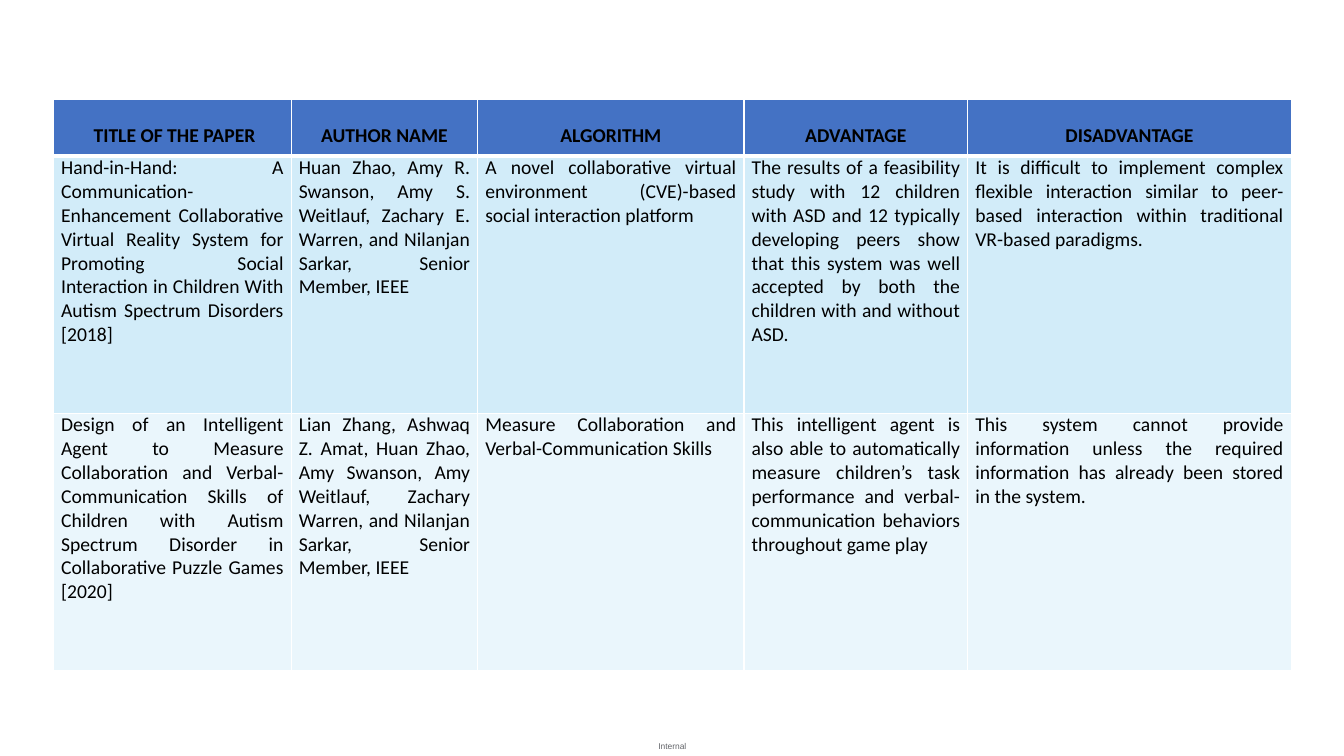
from dataclasses import dataclass

import pptx
import pptx.dml.color
import pptx.enum.text
import pptx.oxml
import pptx.oxml.ns
import pptx.util
from pptx.util import Cm

ALIGN = pptx.enum.text.PP_ALIGN


@dataclass(frozen=True)
class Theme:
    font: str = "Calibri"
    footer_font: str = "Arial"
    table_size: float = 14
    footer_size: float = 6
    ink: str = "000000"
    footer_ink: str = "626469"
    border: str = "FFFFFF"
    thin: float = 1
    thick: float = 3


@dataclass(frozen=True)
class RowStyle:
    height: float
    fill: str
    align: ALIGN
    bold: bool
    line_spacing: float
    top: float
    bottom: float


@dataclass(frozen=True)
class TableRow:
    style: RowStyle
    texts: tuple[str, ...]


THEME = Theme()
HEADER = RowStyle(1.42, "4472C4", ALIGN.CENTER, True, 2.0, THEME.thin, THEME.thick)
FIRST_PAPER = RowStyle(6.48, "D2ECF9", ALIGN.JUSTIFY, False, 1.0, THEME.thick, THEME.thin)
SECOND_PAPER = RowStyle(6.48, "EAF6FC", ALIGN.JUSTIFY, False, 1.0, THEME.thin, THEME.thin)

COLUMN_WIDTHS = (5.99, 4.7, 6.71, 5.64, 8.15)
ROWS = (
    TableRow(HEADER, (
        " TITLE OF THE PAPER", "AUTHOR NAME", "ALGORITHM", "ADVANTAGE", "DISADVANTAGE",
    )),
    TableRow(FIRST_PAPER, (
        "Hand-in-Hand: A Communication-Enhancement Collaborative Virtual Reality System "
        "for Promoting Social Interaction in Children With Autism Spectrum Disorders [2018]",
        "Huan Zhao, Amy R. Swanson, Amy S. Weitlauf, Zachary E. Warren, and Nilanjan Sarkar, "
        "Senior Member, IEEE",
        "A novel collaborative virtual environment (CVE)-based social interaction platform",
        "The results of a feasibility study with 12 children with ASD and 12 typically "
        "developing peers show that this system was well accepted by both the children "
        "with and without ASD.",
        "It is difficult to implement complex flexible interaction similar to peer-based "
        "interaction within traditional VR-based paradigms.",
    )),
    TableRow(SECOND_PAPER, (
        "Design of an Intelligent Agent to Measure Collaboration and Verbal-Communication "
        "Skills of Children with Autism Spectrum Disorder in Collaborative Puzzle Games [2020]",
        "Lian Zhang, Ashwaq Z. Amat, Huan Zhao, Amy Swanson, Amy Weitlauf, Zachary Warren, "
        "and Nilanjan Sarkar, Senior Member, IEEE",
        "Measure Collaboration and Verbal-Communication Skills",
        "This intelligent agent is also able to automatically measure children’s task "
        "performance and verbal-communication behaviors throughout game play",
        "This system cannot provide information unless the required information has already "
        "been stored in the system.",
    )),
)


def add_run(paragraph, text: str, font: str, size: float, color: str, bold: bool = False) -> None:
    run = paragraph.add_run()
    run.text = text
    run.font.name = font
    run.font.size = pptx.util.Pt(size)
    run.font.bold = bold
    run.font.color.rgb = pptx.dml.color.RGBColor.from_string(color)


def add_borders(cell, style: RowStyle) -> None:
    properties = cell._tc.get_or_add_tcPr()
    widths = {"lnL": THEME.thin, "lnR": THEME.thin, "lnT": style.top, "lnB": style.bottom}
    for side, width in widths.items():
        properties.append(pptx.oxml.parse_xml(
            f'<a:{side} {pptx.oxml.ns.nsdecls("a")} w="{pptx.util.Pt(width)}">'
            f'<a:solidFill><a:srgbClr val="{THEME.border}"/></a:solidFill></a:{side}>'
        ))


def fill_cell(cell, text: str, style: RowStyle) -> None:
    add_borders(cell, style)
    cell.fill.solid()
    cell.fill.fore_color.rgb = pptx.dml.color.RGBColor.from_string(style.fill)
    cell.margin_left = cell.margin_right = Cm(0.19)
    cell.margin_top = cell.margin_bottom = 0
    paragraph = cell.text_frame.paragraphs[0]
    paragraph.alignment = style.align
    paragraph.line_spacing = style.line_spacing
    add_run(paragraph, text, THEME.font, THEME.table_size, THEME.ink, style.bold)


def add_paper_table(slide) -> None:
    width = sum(COLUMN_WIDTHS)
    height = sum(row.style.height for row in ROWS)
    table = slide.shapes.add_table(
        len(ROWS), len(COLUMN_WIDTHS), Cm(1.35), Cm(2.51), Cm(width), Cm(height)
    ).table
    for column, column_width in zip(table.columns, COLUMN_WIDTHS):
        column.width = Cm(column_width)
    for table_row, row in zip(table.rows, ROWS):
        table_row.height = Cm(row.style.height)
        for cell, text in zip(table_row.cells, row.texts):
            fill_cell(cell, text, row.style)


def add_footer(slide) -> None:
    frame = slide.shapes.add_textbox(Cm(16.31), Cm(18.54), Cm(1.27), Cm(0.51)).text_frame
    frame.word_wrap = True
    frame.margin_left = frame.margin_right = frame.margin_top = frame.margin_bottom = 0
    frame.vertical_anchor = pptx.enum.text.MSO_ANCHOR.MIDDLE
    paragraph = frame.paragraphs[0]
    paragraph.alignment = ALIGN.CENTER
    add_run(paragraph, "Internal", THEME.footer_font, THEME.footer_size, THEME.footer_ink)


def main() -> None:
    presentation = pptx.Presentation()
    presentation.slide_width = Cm(33.87)
    presentation.slide_height = Cm(19.05)
    # Blank layout: the slide has no title
    slide = presentation.slides.add_slide(presentation.slide_layouts[6])
    # Classification label at the foot
    add_footer(slide)
    # Literature survey
    add_paper_table(slide)
    presentation.save("out.pptx")


if __name__ == "__main__":
    main()
